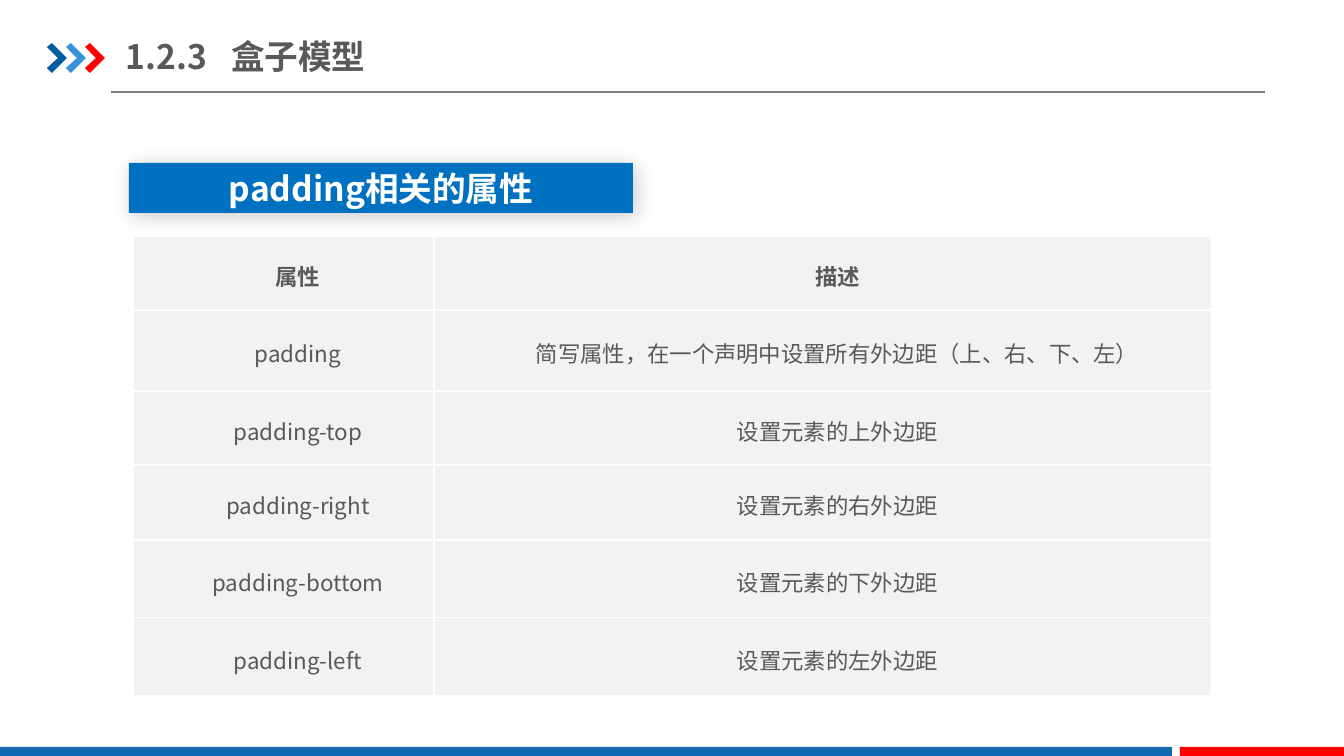
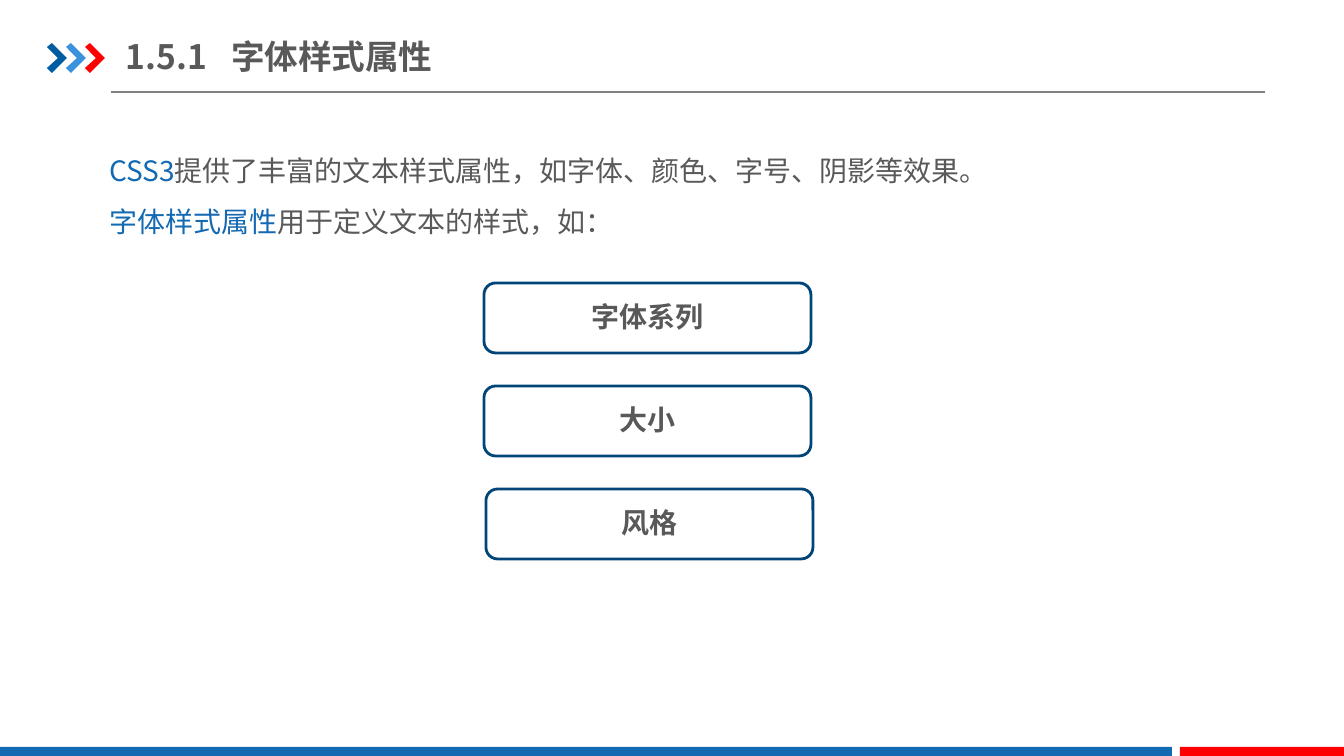
from lxml.etree import SubElement
from pptx import Presentation
from pptx.dml.color import RGBColor
from pptx.enum.shapes import MSO_CONNECTOR, MSO_SHAPE
from pptx.enum.text import MSO_ANCHOR, MSO_AUTO_SIZE, PP_ALIGN
from pptx.oxml.ns import qn
from pptx.util import Emu, Pt

FONT = "Noto Sans CJK SC"
EMU_PER_PX = 914400 / 100.8

WHITE = RGBColor(0xFF, 0xFF, 0xFF)
TEXT_GRAY = RGBColor(0x59, 0x59, 0x59)
RULE_GRAY = RGBColor(0x80, 0x80, 0x80)
CELL_GRAY = RGBColor(0xF2, 0xF2, 0xF2)
BRAND_BLUE = RGBColor(0x13, 0x69, 0xB2)
BANNER_BLUE = RGBColor(0x00, 0x70, 0xC0)
OUTLINE_BLUE = RGBColor(0x00, 0x45, 0x78)
DARK_BLUE = RGBColor(0x00, 0x5D, 0xA2)
LIGHT_BLUE = RGBColor(0x39, 0x92, 0xDB)
RED = RGBColor(0xFF, 0x00, 0x00)

CHEVRON = [(0, 4), (5, 0), (20, 15), (5, 30), (0, 25), (11, 15)]
ROW_HEIGHTS = [74, 81, 74, 75, 78, 78]
COLUMN_WIDTHS = [301, 778]
PADDING_ROWS = [
    ("属性", "描述"),
    ("padding", "简写属性，在一个声明中设置所有外边距（上、右、下、左）"),
    ("padding-top", "设置元素的上外边距"),
    ("padding-right", "设置元素的右外边距"),
    ("padding-bottom", "设置元素的下外边距"),
    ("padding-left", "设置元素的左外边距"),
]
INTRO_LINES = [
    [("CSS3", BRAND_BLUE),
     ("提供了丰富的文本样式属性，如字体、颜色、字号、阴影等效果。", TEXT_GRAY)],
    [("字体样式属性", BRAND_BLUE), ("用于定义文本的样式，如：", TEXT_GRAY)],
]
STYLE_BOXES = [("字体系列", 484), ("大小", 484), ("风格", 486)]


def px(length):
    """Turn a length in px into EMU."""
    return Emu(round(length * EMU_PER_PX))


def add_text(paragraph, text, size, color, bold=False):
    """Add one run in the deck font."""
    run = paragraph.add_run()
    run.text = text
    font = run.font
    font.size, font.bold, font.name = Pt(size), bold, FONT
    font.color.rgb = color
    SubElement(run._r.get_or_add_rPr(), qn("a:ea"), typeface=FONT)


def set_frame(frame, anchor, inset_x, inset_y):
    """Set anchor, insets, wrapping and fixed size of a text frame."""
    frame.word_wrap = True
    frame.auto_size = MSO_AUTO_SIZE.NONE
    frame.vertical_anchor = anchor
    frame.margin_left = frame.margin_right = px(inset_x)
    frame.margin_top = frame.margin_bottom = px(inset_y)


def place(shape, left, top, width, height):
    """Move and size a placeholder."""
    shape.left, shape.top = px(left), px(top)
    shape.width, shape.height = px(width), px(height)


def paint(shape, fill, outline=None):
    """Give a shape a flat fill and an optional 2 pt outline."""
    shape.shadow.inherit = False
    shape.fill.solid()
    shape.fill.fore_color.rgb = fill
    if outline is None:
        shape.line.fill.background()
    else:
        shape.line.color.rgb = outline
        shape.line.width = Pt(2)


def add_box(slide, kind, left, top, width, height, fill, outline=None):
    """Add a painted preset shape."""
    shape = slide.shapes.add_shape(kind, px(left), px(top), px(width), px(height))
    paint(shape, fill, outline)
    return shape


def add_chevron(slide, left, top, color):
    """Draw one chevron from its top left corner."""
    points = [(px(left + x), px(top + y)) for x, y in CHEVRON]
    builder = slide.shapes.build_freeform(*points[0], scale=1.0)
    builder.add_line_segments(points[1:], close=True)
    paint(builder.convert_to_shape(), color)


def add_furniture(slide):
    """Draw the footer bands, title rule and chevrons."""
    for left, width, color in [(0, 1172, BRAND_BLUE), (1180, 164, RED)]:
        add_box(slide, MSO_SHAPE.RECTANGLE, left, 747, width, 9, color)
    rule = slide.shapes.add_connector(
        MSO_CONNECTOR.STRAIGHT, px(111), px(92), px(1265), px(92))
    rule.line.color.rgb = RULE_GRAY
    rule.line.width = Pt(0.75)
    SubElement(rule._element.spPr, qn("a:effectLst"))
    for index, color in enumerate([DARK_BLUE, LIGHT_BLUE, RED]):
        add_chevron(slide, 47 + 19 * index, 43, color)


def add_slide(presentation, layout_index, number, heading):
    """Add a slide with the shared furniture and a numbered title."""
    slide = presentation.slides.add_slide(presentation.slide_layouts[layout_index])
    add_furniture(slide)
    title = slide.shapes.title
    place(title, 126, 29, 514, 55)
    set_frame(title.text_frame, MSO_ANCHOR.MIDDLE, 0, 7)
    paragraph = title.text_frame.paragraphs[0]
    tabs = SubElement(paragraph._p.get_or_add_pPr(), qn("a:tabLst"))
    SubElement(tabs, qn("a:tab"), pos=str(px(105)), algn="l")
    paragraph.alignment = PP_ALIGN.LEFT
    add_text(paragraph, f"{number}\t{heading}", 24, TEXT_GRAY, True)
    return slide


def add_banner(slide, left, top, width, height, text):
    """Add a blue heading bar with a soft shadow."""
    banner = add_box(slide, MSO_SHAPE.RECTANGLE, left, top, width, height, BANNER_BLUE)
    effects = banner._element.spPr.find(qn("a:effectLst"))
    shadow = SubElement(effects, qn("a:outerShdw"), blurRad=str(Pt(15)),
                        dist=str(Pt(3)), dir="2700000", algn="tl", rotWithShape="0")
    color = SubElement(shadow, qn("a:srgbClr"), val="000000")
    SubElement(color, qn("a:alpha"), val="20000")
    set_frame(banner.text_frame, MSO_ANCHOR.MIDDLE, 10, 5)
    paragraph = banner.text_frame.paragraphs[0]
    paragraph.alignment = PP_ALIGN.CENTER
    add_text(paragraph, text, 24, WHITE, True)


def fill_cell(cell, text, bold):
    """Write a centred cell with white borders and a gray fill."""
    properties = cell._tc.get_or_add_tcPr()
    for side in ("lnL", "lnR", "lnT", "lnB"):
        border = SubElement(properties, qn(f"a:{side}"), w=str(Pt(1)))
        solid = SubElement(border, qn("a:solidFill"))
        SubElement(solid, qn("a:srgbClr"), val=str(WHITE))
    cell.fill.solid()
    cell.fill.fore_color.rgb = CELL_GRAY
    cell.vertical_anchor = MSO_ANCHOR.MIDDLE
    cell.margin_left = cell.margin_right = px(7)
    cell.margin_top = cell.margin_bottom = 0
    paragraph = cell.text_frame.paragraphs[0]
    paragraph._p.get_or_add_pPr().set("indent", str(px(29)))
    paragraph.alignment = PP_ALIGN.CENTER
    paragraph.line_spacing = 1.15
    add_text(paragraph, text, 16, TEXT_GRAY, bold)


def add_property_table(slide, left, top, rows):
    """Add the table of properties with a bold heading row."""
    table = slide.shapes.add_table(
        len(rows), len(COLUMN_WIDTHS), px(left), px(top),
        px(sum(COLUMN_WIDTHS)), px(sum(ROW_HEIGHTS))).table
    for column, width in zip(table.columns, COLUMN_WIDTHS):
        column.width = px(width)
    for row_index, (row, height) in enumerate(zip(table.rows, ROW_HEIGHTS)):
        row.height = px(height)
        for cell, text in zip(row.cells, rows[row_index]):
            fill_cell(cell, text, row_index == 0)


def fill_body(body, left, top, width, height, lines):
    """Write plain justified lines into the body placeholder."""
    place(body, left, top, width, height)
    frame = body.text_frame
    set_frame(frame, MSO_ANCHOR.TOP, 13, 7)
    for index, line in enumerate(lines):
        paragraph = frame.add_paragraph() if index else frame.paragraphs[0]
        properties = paragraph._p.get_or_add_pPr()
        properties.set("marL", "0")
        properties.set("indent", "0")
        SubElement(properties, qn("a:buNone"))
        paragraph.alignment = PP_ALIGN.JUSTIFY
        paragraph.line_spacing = 1.5
        paragraph.space_before = Pt(0)
        for text, color in line:
            add_text(paragraph, text, 20, color)


def add_style_boxes(slide, top, pitch, boxes):
    """Stack outlined boxes at an equal pitch."""
    for index, (text, left) in enumerate(boxes):
        box = add_box(slide, MSO_SHAPE.ROUNDED_RECTANGLE, left, top + pitch * index,
                      327, 70, WHITE, OUTLINE_BLUE)
        set_frame(box.text_frame, MSO_ANCHOR.MIDDLE, 10, 5)
        paragraph = box.text_frame.paragraphs[0]
        paragraph.alignment = PP_ALIGN.CENTER
        paragraph.line_spacing = 0.9
        add_text(paragraph, text, 20, TEXT_GRAY, True)


def build_padding_slide(presentation):
    """Build the slide on padding properties."""
    slide = add_slide(presentation, 5, "1.2.3", "盒子模型")
    add_property_table(slide, 133, 236, PADDING_ROWS)
    add_banner(slide, 129, 163, 504, 50, "padding相关的属性")


def build_font_slide(presentation):
    """Build the slide on font style properties."""
    slide = add_slide(presentation, 1, "1.5.1", "字体样式属性")
    fill_body(slide.placeholders[1], 96, 130, 1151, 109, INTRO_LINES)
    add_style_boxes(slide, 283, 103, STYLE_BOXES)


def main():
    """Build and save the presentation."""
    presentation = Presentation()
    presentation.slide_width, presentation.slide_height = px(1344), px(756)
    build_padding_slide(presentation)
    build_font_slide(presentation)
    presentation.save("out.pptx")


if __name__ == "__main__":
    main()
